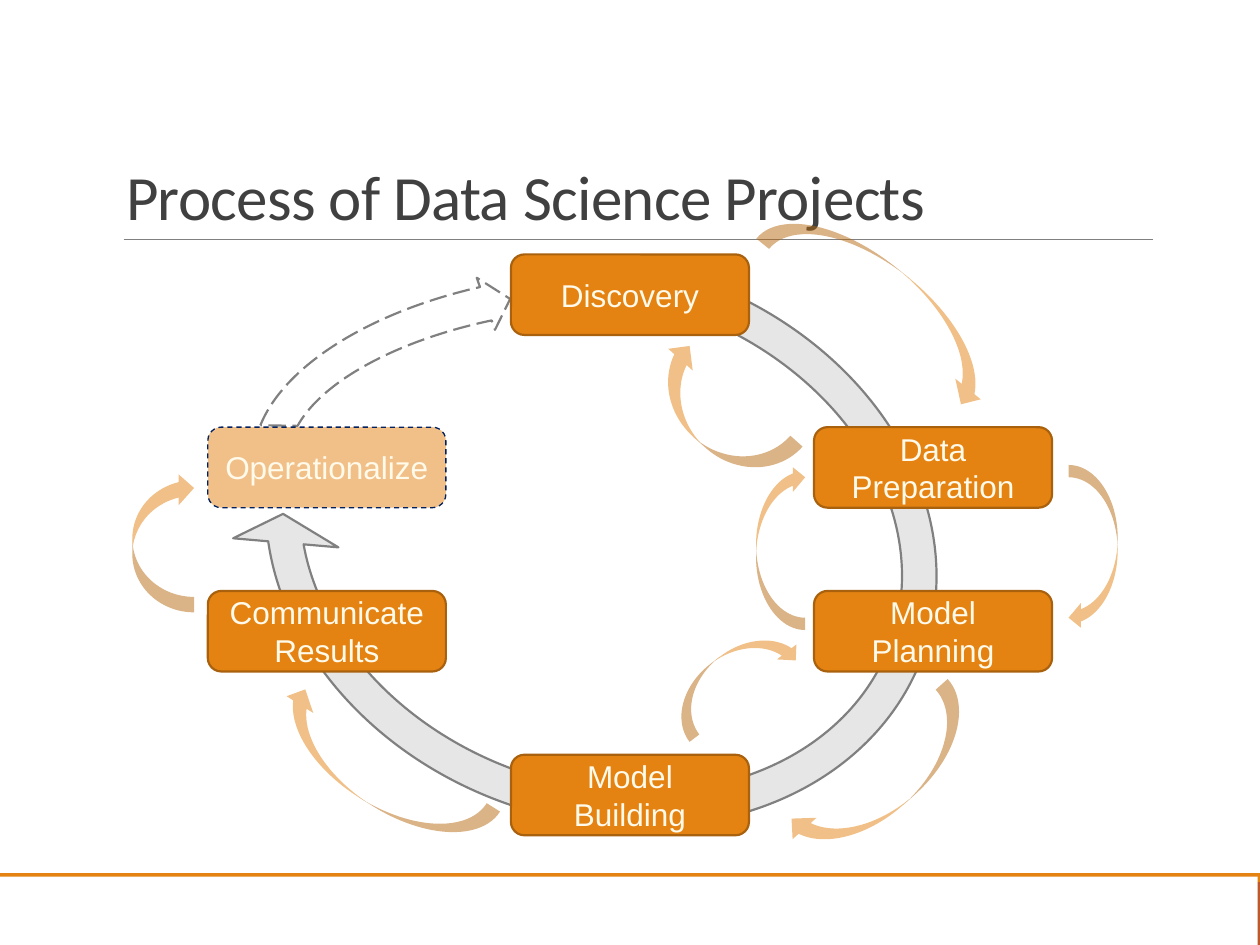
from lxml.etree import SubElement
from pptx import Presentation
from pptx.dml.color import RGBColor
from pptx.enum.dml import MSO_LINE
from pptx.enum.shapes import MSO_CONNECTOR, MSO_SHAPE
from pptx.enum.text import MSO_ANCHOR, PP_ALIGN
from pptx.oxml.ns import qn
from pptx.util import Pt

HUES = {"orange": "E48312", "edge": "A9610D", "rust": "BD582C", "white": "FFFFFF",
        "gray": "808080", "pale": "E6E6E6", "navy": "002060", "cream": "FFFAEA",
        "ink": "404040"}

# Column and row of each step, then its text lines
STEPS = [
    (1, 0, ["Discovery"]),
    (2, 1, ["Data", "Preparation"]),
    (2, 2, ["Model Planning"]),
    (1, 3, ["Model Building"]),
    (0, 2, ["Communicate Results"]),
    (0, 1, ["Operationalize"]),
]
COLS = [46.8 + 173.2 * n for n in range(3)]
ROWS = [79.4] + [178.1 + 93.6 * n for n in range(3)]

# Left, top, width, height and turn of each arrow between two steps
LOOPS = [
    (415.4, 26.2, 37.4, 159.8, 309),
    (415.4, 314.2, 36.7, 128.9, 48.2),
    (360, 199.7, 28.1, 94.3, 180),
    (332.6, 279.6, 28.1, 83.5, 232.5),
    (126.7, 305.5, 36, 140.4, 122.1),
    (3.6, 204, 35.3, 79.9, 180),
    (538.6, 199.7, 28.1, 94.3, 0),
    (319.7, 123.4, 37.4, 95.8, 131.7),
]

# Box, turn, band and head in percent, angles of head, end and start, fill, dash
RINGS = [
    ((56.2, 63.6, 430.6, 359.3), 198.6, 5.5, 8.4, (5.2, 341.11, 87.08), "pale", None),
    ((151.9, 0.2, 187.9, 359.3), 262.8, 10.7, 8.4, (9.76, 338.13, 278.18), "white",
     MSO_LINE.LONG_DASH),
]


def apply(item, form):
    for key, value in form.items():
        setattr(item, key, value)


def hue(name):
    return RGBColor.from_string(HUES[name])


def draw(slide, kind, box, fill, line=None, width=1.25, dash=None, turn=0, alpha=None):
    """Add a preset shape; alpha is the opacity in percent."""
    shape = slide.shapes.add_shape(kind, *map(Pt, box))
    shape.shadow.inherit = False
    shape.rotation = turn
    shape.fill.solid()
    shape.fill.fore_color.rgb = hue(fill)
    if alpha:
        color = shape.fill._xPr.find(qn("a:solidFill"))[0]
        SubElement(color, qn("a:alpha")).set("val", str(alpha * 1000))
    if line:
        shape.line.color.rgb = hue(line)
        apply(shape.line, {"width": Pt(width), "dash_style": dash})
    else:
        shape.line.fill.background()
    return shape


def frame(slide, wide, high):
    """Draw the foot bands and the rule under the title."""
    draw(slide, MSO_SHAPE.RECTANGLE, (0, high - 36, wide, 36), "rust")
    draw(slide, MSO_SHAPE.RECTANGLE, (0, high - 41, wide, 5), "orange")
    draw(slide, MSO_SHAPE.RECTANGLE, (0, high - 39, wide - 1.4, 39), "white")
    rule = slide.shapes.add_connector(
        MSO_CONNECTOR.STRAIGHT, Pt(70.6), Pt(136.8), Pt(658.8), Pt(136.8))
    rule.line.color.rgb = hue("gray")
    rule.line.width = Pt(0.5)
    SubElement(rule._element.spPr, qn("a:effectLst"))


def head(slide, left, top, wide, high):
    title = slide.shapes.title
    apply(title, {"left": Pt(left), "top": Pt(top), "width": Pt(wide), "height": Pt(high)})
    title.text_frame.text = "Process of Data Science Projects"
    apply(title.text_frame, {"vertical_anchor": MSO_ANCHOR.BOTTOM, "word_wrap": True})
    para = title.text_frame.paragraphs[0]
    apply(para, {"alignment": PP_ALIGN.LEFT, "line_spacing": 0.85})
    font = para.runs[0].font
    apply(font, {"name": "Calibri", "size": Pt(36)})
    font.color.rgb = hue("ink")
    font._element.set("spc", "-40")


def ring(slide, left, top, part):
    """Draw one arc of the main cycle; angles are in degrees."""
    (dx, dy, wide, high), turn, band, tip, angles, fill, dash = part
    shape = draw(slide, MSO_SHAPE.CIRCULAR_ARROW, (left + dx, top + dy, wide, high),
                 fill, "gray", dash=dash, turn=turn)
    values = [band / 100, *(angle * 0.6 for angle in angles), tip / 100]
    for n, value in enumerate(values):
        shape.adjustments[n] = value


def step(slide, left, top, lines, last):
    """Draw one step; the last one is faded and dashed."""
    look = {"line": "edge"}
    if last:
        look = {"line": "navy", "width": 0.75, "dash": MSO_LINE.DASH, "alpha": 50}
    shape = draw(slide, MSO_SHAPE.ROUNDED_RECTANGLE, (left, top, 136, 46), "orange", **look)
    text = shape.text_frame
    apply(text, {"word_wrap": True, "vertical_anchor": MSO_ANCHOR.MIDDLE})
    text.text = "\n".join(lines)
    for para in text.paragraphs:
        para.alignment = PP_ALIGN.CENTER
        font = para.runs[0].font
        apply(font, {"name": "Arial", "size": Pt(18)})
        font.color.rgb = hue("cream")


def cycle(slide, left, top):
    for part in RINGS:
        ring(slide, left, top, part)
    for n, (col, row, lines) in enumerate(STEPS):
        step(slide, left + COLS[col], top + ROWS[row], lines, n == len(STEPS) - 1)
    for dx, dy, wide, high, turn in LOOPS:
        draw(slide, MSO_SHAPE.CURVED_LEFT_ARROW, (left + dx, top + dy, wide, high),
             "orange", turn=turn, alpha=50)


def main():
    deck = Presentation()
    apply(deck, {"slide_width": Pt(720), "slide_height": Pt(540)})
    slide = deck.slides.add_slide(deck.slide_layouts[5])
    frame(slide, 720, 540)
    head(slide, 64.8, 22.3, 594, 114.5)
    cycle(slide, 72, 66)
    deck.save("out.pptx")


if __name__ == "__main__":
    main()
